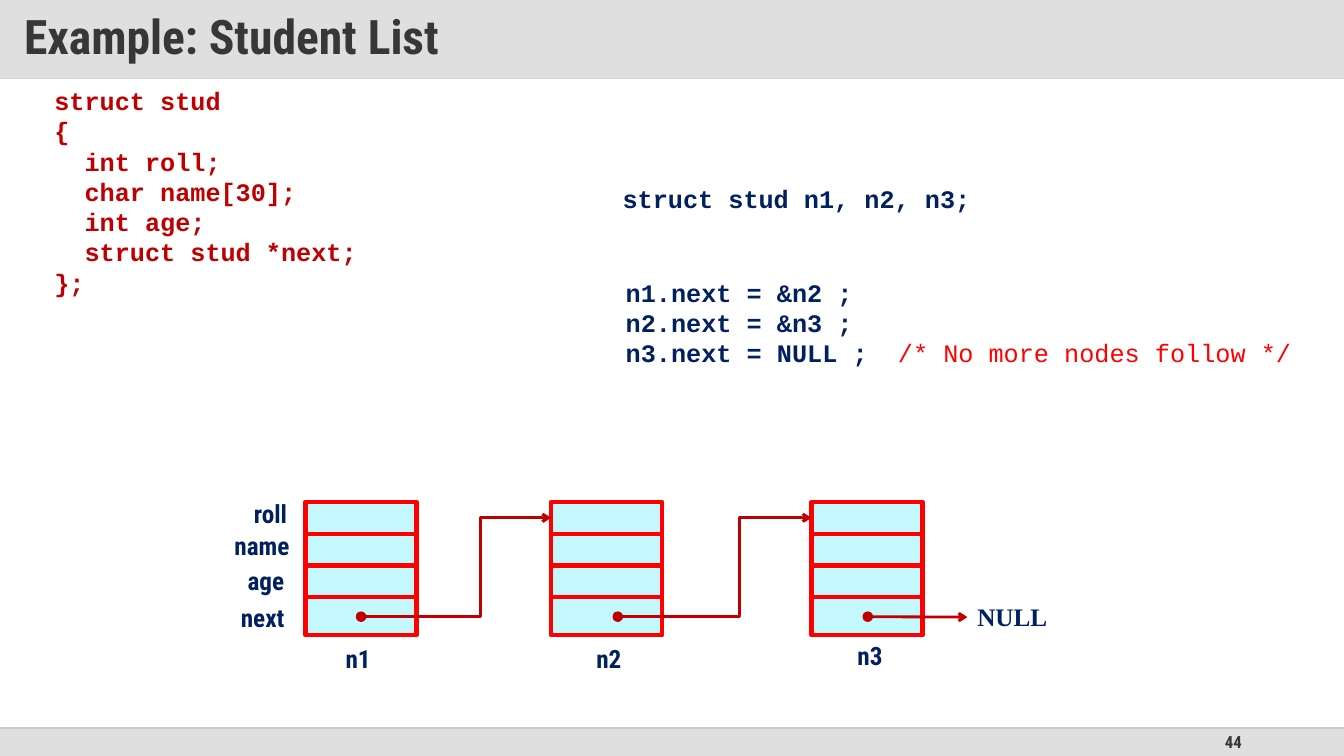
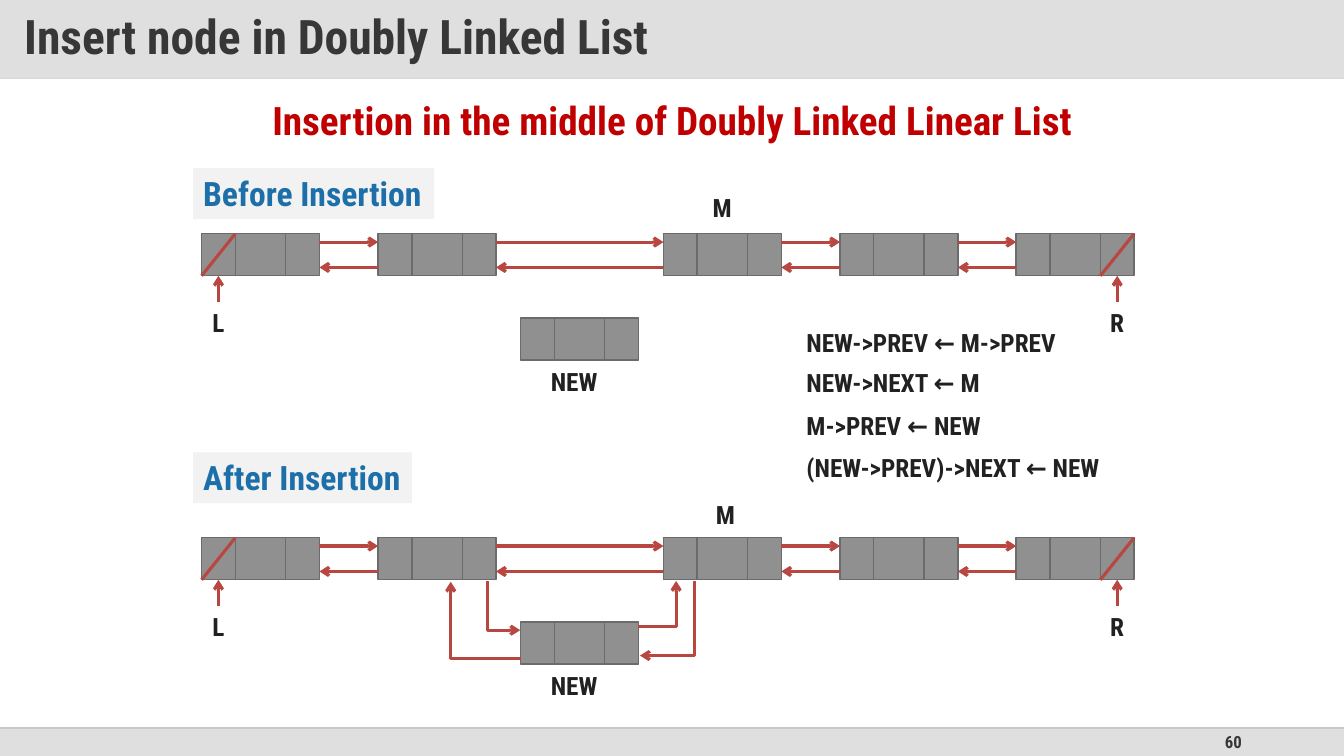
from lxml import etree
from pptx import Presentation
from pptx import util as u
from pptx.dml import color
from pptx.enum import shapes, text
from pptx.oxml import ns

C = {
    "band": "DFDFDF", "rule": "D9D9D9", "foot_rule": "C9C9C9",
    "title": "373737", "ink": "212121", "navy": "002060", "crimson": "C00000",
    "red": "FF0000", "cyan": "C3F8FF", "node": "909090", "node_edge": "6B6B6B",
    "arrow": "B84742", "blue": "1D6FA9", "tag": "F2F2F2",
}
SANS, MONO, SERIF = "Roboto Condensed", "Courier New", "Times New Roman"
WIDTH, HEIGHT, BAND, FOOT = 33.87, 19.05, 1.98, 0.71
LEFT, CENTER, RIGHT = text.PP_ALIGN.LEFT, text.PP_ALIGN.CENTER, text.PP_ALIGN.RIGHT
RECT, OVAL = shapes.MSO_SHAPE.RECTANGLE, shapes.MSO_SHAPE.OVAL

# Node of the doubly linked list: link, data, link
LINK, DATA, NODE_H = 0.85, 1.27, 1.06
NODE_W = 2 * LINK + DATA


def rgb(name):
    return color.RGBColor.from_string(C[name])


class Deck:
    """Style of the deck and the slide being built; lengths in centimetres."""

    def __init__(self):
        self.prs = Presentation()
        self.prs.slide_width, self.prs.slide_height = u.Cm(WIDTH), u.Cm(HEIGHT)
        self.s = None

    def slide(self, title, number, layout=5):
        """Start a slide with its title band, footer and number."""
        self.s = self.prs.slides.add_slide(self.prs.slide_layouts[layout])
        sp = self.s.shapes.title
        self.place(sp, 0, 0, WIDTH, BAND)
        sp.fill.solid()
        sp.fill.fore_color.rgb = rgb("band")
        self.set_text(sp, [title], 34, "title", anchor=text.MSO_ANCHOR.MIDDLE)
        tf = sp.text_frame
        tf.margin_left = tf.margin_right = u.Cm(0.61)
        tf.margin_top = tf.margin_bottom = u.Cm(0.3)
        tf.paragraphs[0].line_spacing = 0.9
        top = HEIGHT - FOOT
        self.shape(0, top, WIDTH, FOOT, "band")
        self.text(23.93, top, 7.62, FOOT, [str(number)], 12, "title",
                  align=RIGHT, anchor=text.MSO_ANCHOR.MIDDLE)
        self.line((0, BAND), (WIDTH, BAND), "rule", 1)
        self.line((0, top), (WIDTH, top), "foot_rule", 1)

    def place(self, sp, x, y, w, h):
        sp.left, sp.top, sp.width, sp.height = (u.Cm(v) for v in (x, y, w, h))

    def set_text(self, sp, lines, size, ink, font=SANS, align=LEFT,
                 anchor=text.MSO_ANCHOR.TOP, wrap=True):
        tf = sp.text_frame
        tf.text = "\n".join(lines)
        tf.word_wrap = wrap
        tf.auto_size = text.MSO_AUTO_SIZE.NONE
        tf.vertical_anchor = anchor
        for p in tf.paragraphs:
            p.alignment = align
            for r in p.runs:
                r.font.size, r.font.name, r.font.bold = u.Pt(size), font, True
                r.font.color.rgb = rgb(ink)

    def text(self, x, y, w, h, lines, size, ink, **style):
        sp = self.s.shapes.add_textbox(*(u.Cm(v) for v in (x, y, w, h)))
        self.set_text(sp, lines, size, ink, **style)
        return sp

    def label(self, cx, y, words):
        """Short caption centred on cx."""
        self.text(cx - 1.5, y, 3, 1.02, [words], 18, "ink", align=CENTER)

    def tag(self, x, y, w, words):
        sp = self.text(x, y, w, 1.28, [words], 24, "blue", wrap=False)
        sp.fill.solid()
        sp.fill.fore_color.rgb = rgb("tag")

    def listing(self, x, y, w, h, lines, gaps):
        """List without bullets; gaps are the points before each line."""
        sp = self.s.placeholders[1]
        self.place(sp, x, y, w, h)
        self.set_text(sp, lines, 18, "ink")
        for p, gap in zip(sp.text_frame.paragraphs, gaps):
            pr = p._p.get_or_add_pPr()
            pr.set("marL", "0")
            pr.set("indent", "0")
            etree.SubElement(pr, ns.qn("a:buNone"))
            p.space_before = u.Pt(gap)

    def shape(self, x, y, w, h, fill, edge=None, width=1, kind=RECT, group=None):
        owner = group or self.s
        sp = owner.shapes.add_shape(kind, *(u.Cm(v) for v in (x, y, w, h)))
        sp.shadow.inherit = False
        sp.fill.solid()
        sp.fill.fore_color.rgb = rgb(fill)
        if edge:
            self.stroke(sp, edge, width)
        else:
            sp.line.fill.background()
        return sp

    def stroke(self, sp, ink, width, arrow=False):
        sp.line.color.rgb = rgb(ink)
        sp.line.width = u.Pt(width)
        if arrow:
            ln = sp._element.find(".//" + ns.qn("a:ln"))
            etree.SubElement(ln, ns.qn("a:tailEnd"), type="arrow")

    def line(self, start, end, ink="arrow", width=2.25, arrow=False, bend=None):
        """Straight line, or an elbow that turns at the share bend of its width."""
        kind = shapes.MSO_CONNECTOR.ELBOW if bend else shapes.MSO_CONNECTOR.STRAIGHT
        cn = self.s.shapes.add_connector(kind, *(u.Cm(v) for v in (*start, *end)))
        self.stroke(cn, ink, width, arrow)
        sp_pr = cn._element.find(ns.qn("p:spPr"))
        etree.SubElement(sp_pr, ns.qn("a:effectLst"))
        if bend:
            guides = sp_pr.find(".//" + ns.qn("a:avLst"))
            etree.SubElement(guides, ns.qn("a:gd"), name="adj1",
                             fmla=f"val {round(bend * 100000)}")
        return cn

    def route(self, *points):
        """Arrow along a path of right angles."""
        first, *rest = [(u.Cm(x), u.Cm(y)) for x, y in points]
        fb = self.s.shapes.build_freeform(*first)
        fb.add_line_segments(rest, close=False)
        sp = fb.convert_to_shape()
        sp.shadow.inherit = False
        sp.fill.background()
        self.stroke(sp, "arrow", 2.25, arrow=True)

    def node(self, x, y):
        """Grouped three-part node; returns its parts."""
        group = self.s.shapes.add_group_shape()
        parts = [(0, LINK), (LINK, DATA), (LINK + DATA, LINK)]
        return [self.shape(x + dx, y, w, NODE_H, "node", "node_edge", group=group)
                for dx, w in parts]

    def linked_list(self, y):
        """Row of five linked nodes, its end pointers and the NEW node."""
        lefts = [5.08, 9.53, 16.72, 21.17, 25.61]
        nodes = [self.node(x, y) for x in lefts]
        for a, b in zip(lefts, lefts[1:]):
            self.line((a + NODE_W, y + 0.21), (b, y + 0.21), arrow=True)
            self.line((b, y + 0.85), (a + NODE_W, y + 0.85), arrow=True)
        ends = [("L", nodes[0][0], lefts[0]),
                ("R", nodes[-1][2], lefts[-1] + LINK + DATA)]
        for name, part, x in ends:
            self.line((x, y + NODE_H), (x + LINK, y))
            mid = x + LINK / 2
            cn = self.line((mid, y + 1.73), (mid, y + NODE_H), arrow=True)
            cn.end_connect(part, 2)
            self.label(mid, y + 1.72, name)
        self.node(13.12, y + 2.12)
        self.label(14.47, y + 3.21, "NEW")


def student_list(d):
    d.slide("Example: Student List", 44)

    # Code
    d.text(1.12, 2.03, 12, 5.64,
           ["struct stud", "{", "  int roll;", "  char name[30];", "  int age;",
            "  struct stud *next;", "};"], 18, "crimson", font=MONO)
    d.text(15.44, 4.5, 17, 1.02, ["struct stud n1, n2, n3;"], 18, "navy", font=MONO)
    sp = d.text(15.52, 6.86, 18.3, 3.33,
                ["n1.next = &n2 ;", "n2.next = &n3 ;", "n3.next = NULL ;  "],
                18, "navy", font=MONO)
    r = sp.text_frame.paragraphs[-1].add_run()
    r.text = "/* No more nodes follow */"
    r.font.size, r.font.name, r.font.bold = u.Pt(18), MONO, False
    r.font.color.rgb = rgb("red")

    # Records
    lefts, top, row = [7.7, 13.89, 20.45], 12.65, 0.8
    for x in lefts:
        for i, h in enumerate([row, row, row, 0.96]):
            d.shape(x, top + i * row, 2.8, h, "cyan", "red", 3)

    # Field and record names
    for words, x, y in [("roll", 6.15, 12.42), ("name", 5.66, 13.23),
                        ("age", 5.99, 14.12), ("next", 5.82, 15.06),
                        ("n1", 8.46, 16.08), ("n2", 14.78, 16.08),
                        ("n3", 21.36, 16)]:
        d.text(x, y, 2.2, 1.02, [words], 18, "navy")
    null = d.text(24.38, 15.04, 2.39, 1.02, ["NULL"], 18, "navy", font=SERIF)

    # Pointers
    dots, dot_y, dot = [9.1, 15.57, 21.87], 15.54, 0.23
    for x, target in zip(dots, lefts[1:]):
        d.line((x, dot_y), (target, top + row / 2), "crimson", 2, True, bend=0.63)
    cn = d.line((dots[-1], dot_y), (24.38, dot_y), "crimson", 2, True)
    cn.end_connect(null, 1)
    for x in dots:
        d.shape(x - dot / 2, dot_y - dot / 2, dot, dot, "crimson", "crimson", kind=OVAL)


def insert_node(d):
    d.slide("Insert node in Doubly Linked List", 60, layout=1)
    d.text(4, 2.29, WIDTH - 8, 1.45,
           ["Insertion in the middle of Doubly Linked Linear List"],
           28, "crimson", align=CENTER)

    # Before
    d.tag(4.87, 4.24, 6.07, "Before Insertion")
    d.linked_list(5.89)
    d.label(18.2, 4.72, "M")
    d.listing(20.07, 8.13, 9, 4.2,
              ["NEW->PREV ← M->PREV", "NEW->NEXT ← M", "M->PREV ← NEW",
               "(NEW->PREV)->NEXT ← NEW"], [0, 6.5, 9, 9])

    # After
    d.tag(4.87, 11.4, 5.51, "After Insertion")
    d.linked_list(13.55)
    d.label(18.28, 12.47, "M")
    d.route((16.09, 15.78), (17.04, 15.78), (17.04, 14.64))
    d.route((17.5, 14.65), (17.5, 16.52), (16.13, 16.52))
    d.route((12.29, 14.64), (12.29, 15.88), (13.11, 15.88))
    d.route((13.12, 16.59), (11.36, 16.59), (11.36, 14.66))


def main():
    d = Deck()
    student_list(d)
    insert_node(d)
    d.prs.save("out.pptx")


if __name__ == "__main__":
    main()
